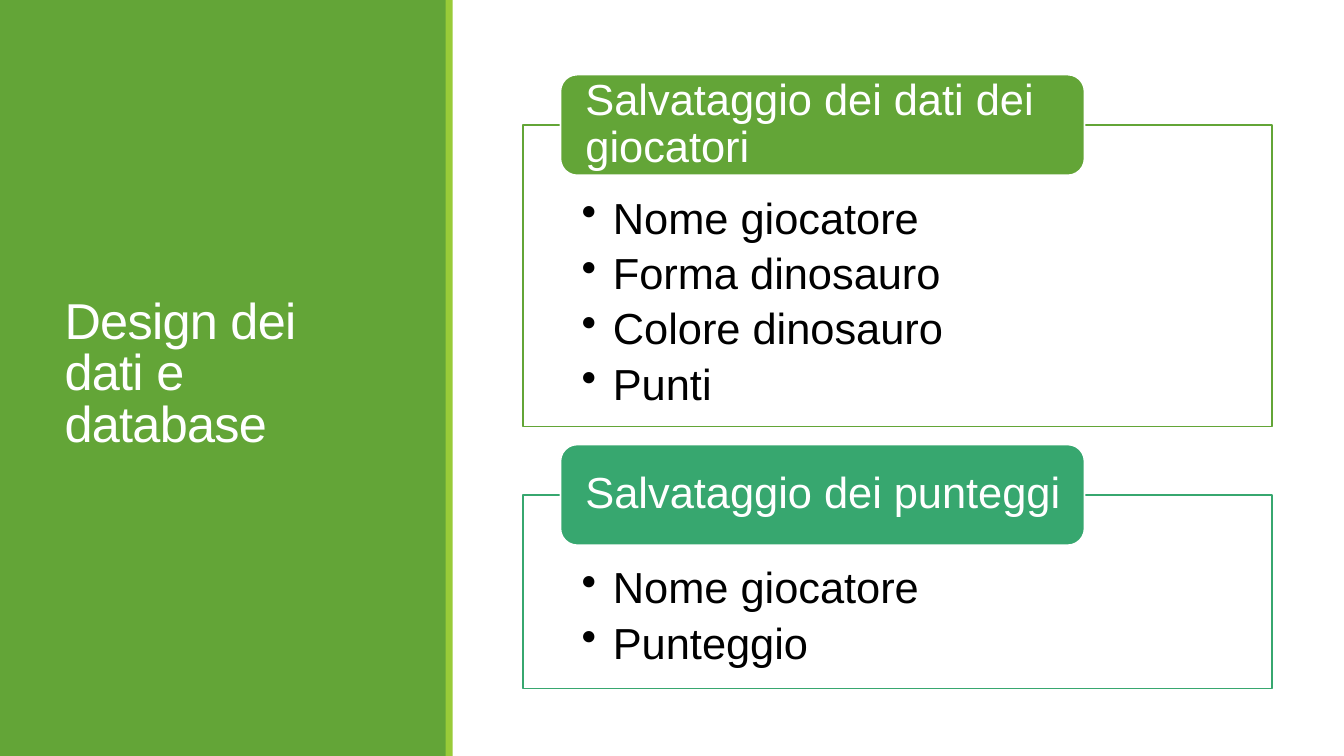
from dataclasses import dataclass

from lxml.etree import SubElement
from pptx import Presentation
from pptx.dml.color import RGBColor
from pptx.enum.shapes import MSO_SHAPE
from pptx.enum.text import MSO_ANCHOR, MSO_AUTO_SIZE, PP_ALIGN
from pptx.oxml.ns import qn
from pptx.shapes.autoshape import Shape
from pptx.slide import Slide
from pptx.util import Inches, Pt

GREEN = RGBColor(0x63, 0xA5, 0x37)
LIME = RGBColor(0x99, 0xCB, 0x38)
TEAL = RGBColor(0x37, 0xA7, 0x6F)
WHITE = RGBColor(0xFF, 0xFF, 0xFF)
BLACK = RGBColor(0, 0, 0)

CELL = Inches(0.1)
COLUMNS, ROWS = 133.33, 75
PANEL_LEFT, PANEL_WIDTH = 51.9, 74.3
HEADER_LEFT, HEADER_WIDTH, HEADER_HEIGHT = 55.6, 52, 10
FIRST_HEADER_TOP, PANEL_GAP = 7.4, 1.8


@dataclass(frozen=True)
class Area:
    """A rectangle in grid columns and rows."""

    left: float
    top: float
    width: float
    height: float

    def lengths(self) -> list[int]:
        """Return the rectangle as slide lengths."""
        return [round(value * CELL) for value in (self.left, self.top, self.width, self.height)]


@dataclass(frozen=True)
class Panel:
    """A framed list of saved fields under a header."""

    header: str
    fields: tuple[str, ...]
    height: float
    color: RGBColor


PANELS = (
    Panel(
        "Salvataggio dei dati dei giocatori",
        ("Nome giocatore", "Forma dinosauro", "Colore dinosauro", "Punti"),
        29.9,
        GREEN,
    ),
    Panel("Salvataggio dei punteggi", ("Nome giocatore", "Punteggio"), 19.2, TEAL),
)


def write_text(
    shape: Shape,
    lines: tuple[str, ...],
    *,
    size: float = 31,
    color: RGBColor = WHITE,
    anchor: MSO_ANCHOR = MSO_ANCHOR.MIDDLE,
    insets: tuple[float, float, float, float] = (1, 0.5, 1, 0.5),
    line_spacing: float = 0.9,
    space_after: float = 0,
    letter_spacing: float = 0,
    bullet: str = "",
) -> None:
    """Write one paragraph per line with a shared format."""
    frame = shape.text_frame
    frame.word_wrap = True
    frame.auto_size = MSO_AUTO_SIZE.NONE
    frame.vertical_anchor = anchor
    frame.margin_left, frame.margin_top, frame.margin_right, frame.margin_bottom = (
        round(inset * CELL) for inset in insets
    )
    frame.text = "\n".join(lines)
    for paragraph in frame.paragraphs:
        paragraph.alignment = PP_ALIGN.LEFT
        paragraph.line_spacing = line_spacing
        paragraph.space_before = Pt(0)
        paragraph.space_after = Pt(space_after)
        font = paragraph.runs[0].font
        font.name, font.size, font.color.rgb = "Arial", Pt(size), color
    if letter_spacing:
        for properties in shape.element.iter(qn("a:rPr")):
            properties.set("spc", str(round(letter_spacing * 100)))
    if bullet:
        indent = round(3.1 * CELL)
        for properties in shape.element.iter(qn("a:pPr")):
            properties.set("marL", str(indent))
            properties.set("indent", str(-indent))
            SubElement(properties, qn("a:buChar")).set("char", bullet)


def add_box(
    slide: Slide,
    area: Area,
    fill: RGBColor,
    line: RGBColor | None = None,
    kind: MSO_SHAPE = MSO_SHAPE.RECTANGLE,
) -> Shape:
    """Add a filled shape, outlined when a line colour is given."""
    shape = slide.shapes.add_shape(kind, *area.lengths())
    shape.shadow.inherit = False
    shape.fill.solid()
    shape.fill.fore_color.rgb = fill
    if line is None:
        shape.line.fill.background()
    else:
        shape.line.color.rgb = line
        shape.line.width = Pt(1.25)
    return shape


def add_title(slide: Slide, text: str) -> None:
    """Place the title above the side band."""
    title = slide.shapes.title
    title.left, title.top, title.width, title.height = Area(5.4, 5.7, 33.7, 63.1).lengths()
    write_text(title, (text,), size=36, line_spacing=0.85, letter_spacing=-0.5)
    title.element.getparent().append(title.element)


def add_panel(slide: Slide, panel: Panel, header_top: float) -> float:
    """Draw a panel and return the top of the next header."""
    top = header_top + HEADER_HEIGHT / 2
    frame = add_box(slide, Area(PANEL_LEFT, top, PANEL_WIDTH, panel.height), WHITE, panel.color)
    write_text(
        frame,
        panel.fields,
        color=BLACK,
        anchor=MSO_ANCHOR.TOP,
        insets=(5.8, 7.1, 5.8, 2.4),
        space_after=6,
        bullet="•",
    )
    header_area = Area(HEADER_LEFT, header_top, HEADER_WIDTH, HEADER_HEIGHT)
    header = add_box(slide, header_area, panel.color, WHITE, MSO_SHAPE.ROUNDED_RECTANGLE)
    write_text(header, (panel.header,), insets=(2, 0, 1.5, 0))
    return top + panel.height + PANEL_GAP


def main() -> None:
    """Build and save the presentation."""
    presentation = Presentation()
    presentation.slide_width = round(COLUMNS * CELL)
    presentation.slide_height = ROWS * CELL
    slide = presentation.slides.add_slide(presentation.slide_layouts.get_by_name("Title Only"))
    add_box(slide, Area(0, 0, 44.3, ROWS), GREEN)
    add_title(slide, "Design dei dati e database")
    add_box(slide, Area(44.2, 0, 0.7, ROWS), LIME)
    header_top = FIRST_HEADER_TOP
    for panel in PANELS:
        header_top = add_panel(slide, panel, header_top)
    presentation.save("out.pptx")


main()
